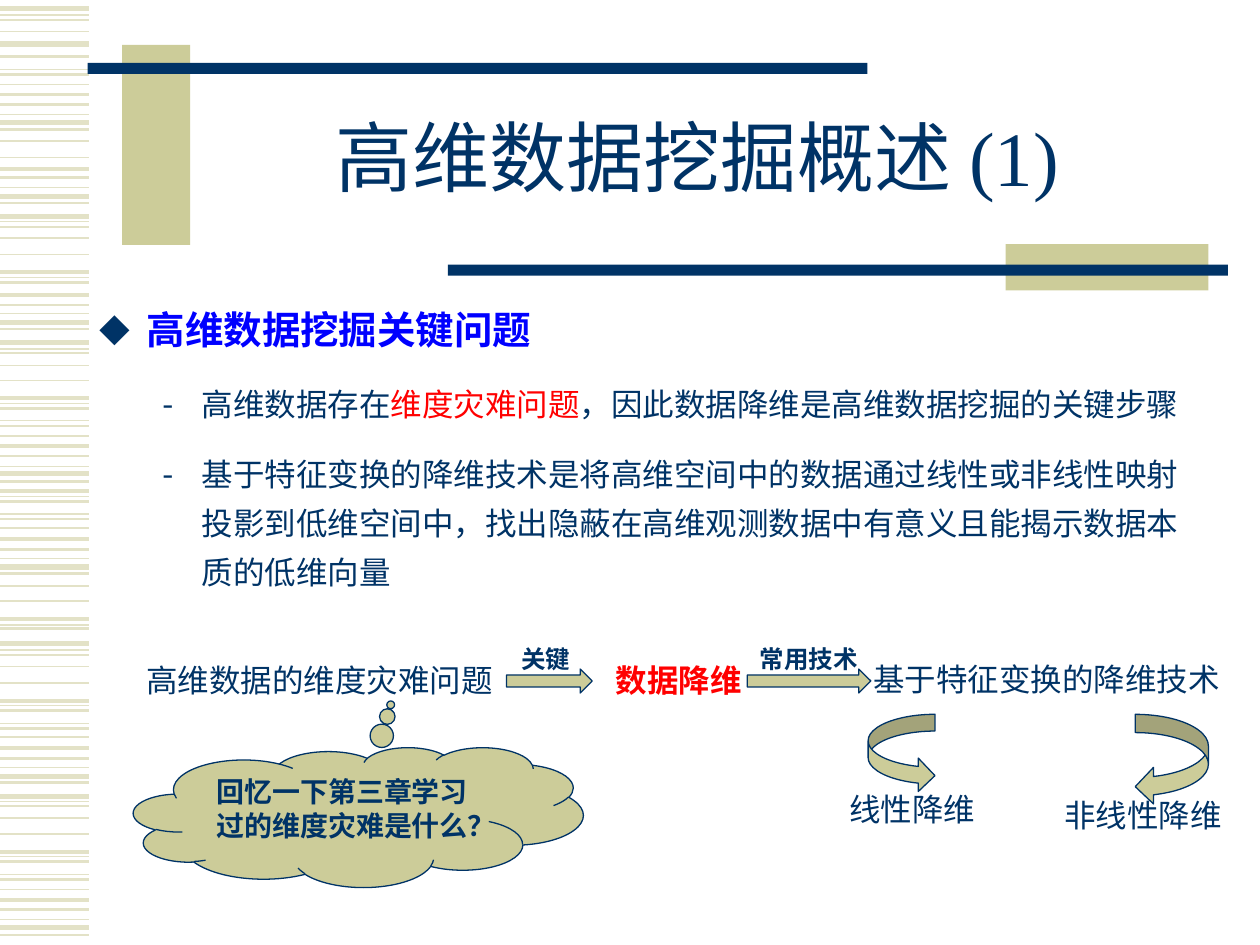
from lxml.etree import SubElement
from pptx import Presentation
from pptx.dml.color import RGBColor
from pptx.enum.shapes import MSO_CONNECTOR as Connector, MSO_SHAPE as Shape
from pptx.enum.text import MSO_ANCHOR as Anchor, PP_ALIGN as Align
from pptx.oxml.ns import qn
from pptx.util import Pt

NAVY, KHAKI, PALE, RED, BLUE = "003366", "CCCC99", "E3E2C7", "FF0000", "0000FF"
SANS, SERIF = "Noto Sans CJK SC", "Times New Roman"
STRIPE_LENGTH = 51

# Stripe heights down the left edge, in hundredths of the unit below, by line weight
STRIPE_UNIT = 0.72
STRIPES = {
    0.75: [12, 55, 91, 149, 176, 220, 249, 277, 320, 334, 370, 394, 408, 443, 496,
           516, 560, 574, 609, 636, 680, 694, 730],
    1: [16, 25, 67, 112, 125, 180, 189, 202, 280, 290, 302, 346, 419, 465, 477,
        520, 529, 542, 585, 640, 649, 662, 706],
    1.5: [45, 59, 83, 103, 141, 161, 224, 242, 261, 324, 338, 362, 382, 398, 412,
          436, 455, 499, 564, 578, 602, 621, 684, 698, 722, 742],
    2.25: [75, 134, 216, 234, 316, 354, 390, 428, 491, 556, 594, 676, 714],
    3: [7, 35, 97, 156, 172, 256, 272, 376, 450, 511, 616, 632, 736],
}

# Left, top, width, height, fill
BARS = [
    (69.8, 25.7, 38.9, 114.3, KHAKI),
    (50, 36, 445.7, 6.3, NAVY),
    (574.6, 139.5, 116, 26.5, KHAKI),
    (256, 151.2, 445.7, 6.3, NAVY),
]

TITLE = "高维数据挖掘概述 (1)"

# Bullet mark, font and percent size; left margin, hanging indent, size, bold, spans
DIAMOND, DASH = ("◆", SANS, 80), ("-", SERIF, 100)
BODY = [
    (DIAMOND, 27, 27, 22, True, [("高维数据挖掘关键问题", BLUE)]),
    (DASH, 58.5, 22.5, 18, False, [
        ("高维数据存在", NAVY), ("维度灾难问题", RED),
        ("，因此数据降维是高维数据挖掘的关键步骤", NAVY)]),
    (DASH, 58.5, 22.5, 18, False, [
        ("基于特征变换的降维技术是将高维空间中的数据通过线性或非线性映射"
         "投影到低维空间中，找出隐蔽在高维观测数据中有意义且能揭示数据本质的低维向量", NAVY)]),
]

# Text, left, top, width, height, size, colour, bold
LABELS = [
    ("高维数据的维度灾难问题", 76.5, 374.4, 221.8, 29, 18, NAVY, False),
    ("数据降维", 344.9, 374.4, 87, 29, 18, RED, True),
    ("基于特征变换的降维技术", 491.8, 373.7, 214.6, 29, 18, NAVY, False),
    ("线性降维", 478.1, 447.8, 87, 29, 18, NAVY, False),
    ("非线性降维", 601.2, 451.4, 105, 29, 18, NAVY, False),
    ("关键", 290.9, 364.3, 42.5, 24.5, 14, NAVY, True),
    ("常用技术", 427, 364.3, 70.5, 24.5, 14, NAVY, True),
]

CLOUD_TEXT = "回忆一下第三章学习过的维度灾难是什么？"
CLOUD = (76.3, 427, 257, 79.9)
ARROWS = [
    (Shape.RIGHT_ARROW, 289.4, 382.3, 49, 13.7),
    (Shape.RIGHT_ARROW, 427, 382.3, 70.6, 13.7),
    (Shape.CURVED_LEFT_ARROW, 648.7, 408.2, 41.8, 51.8),
    (Shape.CURVED_RIGHT_ARROW, 496.1, 408.2, 38.2, 44.6),
]


def rgb(code):
    return RGBColor.from_string(code)


def add_span(para, text, size=18, color=NAVY, bold=False, font=SANS):
    span = para.add_run()
    span.text = text
    span.font.name, span.font.size, span.font.bold = font, Pt(size), bold
    span.font.color.rgb = rgb(color)
    east_asian = SubElement(span.font._element, qn("a:ea"))
    east_asian.set("typeface", SANS)


def add_box(page, place, wrap=True, anchor=Anchor.TOP):
    frame = page.shapes.add_textbox(*map(Pt, place)).text_frame
    frame.word_wrap, frame.vertical_anchor = wrap, anchor
    return frame


def add_bullet(para, bullet, margin, hanging):
    mark, font, percent = bullet
    props = para._p.get_or_add_pPr()
    props.set("marL", str(Pt(margin)))
    props.set("indent", str(-Pt(hanging)))
    color = SubElement(SubElement(props, qn("a:buClr")), qn("a:srgbClr"))
    color.set("val", NAVY)
    SubElement(props, qn("a:buSzPct")).set("val", str(percent * 1000))
    SubElement(props, qn("a:buFont")).set("typeface", font)
    SubElement(props, qn("a:buChar")).set("char", mark)


def add_figure(page, kind, place, fill=KHAKI, outline=NAVY):
    figure = page.shapes.add_shape(kind, *map(Pt, place))
    figure.shadow.inherit = False
    figure.fill.solid()
    figure.fill.fore_color.rgb = rgb(fill)
    if outline:
        figure.line.color.rgb = rgb(outline)
        figure.line.width = Pt(0.75)
    else:
        figure.line.fill.background()
    return figure


def add_stripe(page, top, weight):
    stripe = page.shapes.add_connector(
        Connector.STRAIGHT, 0, Pt(top), Pt(STRIPE_LENGTH), Pt(top))
    stripe.line.color.rgb = rgb(PALE)
    stripe.line.width = Pt(weight)
    SubElement(stripe._element.spPr, qn("a:effectLst"))


deck = Presentation()
deck.slide_width, deck.slide_height = Pt(720), Pt(540)
page = deck.slides.add_slide(deck.slide_layouts[6])

# Striped edge and title bars
for weight, tops in STRIPES.items():
    for top in tops:
        add_stripe(page, top * STRIPE_UNIT, weight)
for *place, fill in BARS:
    add_figure(page, Shape.RECTANGLE, place, fill, outline=None)

# Title
para = add_box(page, (108, 48.2, 581, 90), anchor=Anchor.MIDDLE).paragraphs[0]
para.alignment, para.line_spacing = Align.CENTER, 0.85
add_span(para, TITLE, size=44, font=SERIF)

# Bulleted body
frame = add_box(page, (56.9, 169.9, 632.2, 200.2))
frame.margin_left = frame.margin_right = 0
for index, (bullet, margin, hanging, size, bold, spans) in enumerate(BODY):
    para = frame.add_paragraph() if index else frame.paragraphs[0]
    para.line_spacing = Pt(28)
    para.space_before = para.space_after = Pt(6)
    add_bullet(para, bullet, margin, hanging)
    for text, color in spans:
        add_span(para, text, size=size, color=color, bold=bold)

# Labels of the flow
for text, *place, size, color, bold in LABELS:
    para = add_box(page, place, wrap=False).paragraphs[0]
    add_span(para, text, size=size, color=color, bold=bold)

# Thought cloud
cloud = add_figure(page, Shape.CLOUD_CALLOUT, CLOUD)
cloud.adjustments[0], cloud.adjustments[1] = 0.072, -0.804
cloud.text_frame.word_wrap = True
cloud.text_frame.vertical_anchor = Anchor.TOP
para = cloud.text_frame.paragraphs[0]
para.alignment, para.space_before = Align.CENTER, Pt(3.2)
add_span(para, CLOUD_TEXT, size=16, bold=True, font=SERIF)

# Arrows
for kind, *place in ARROWS:
    add_figure(page, kind, place)

deck.save("out.pptx")
